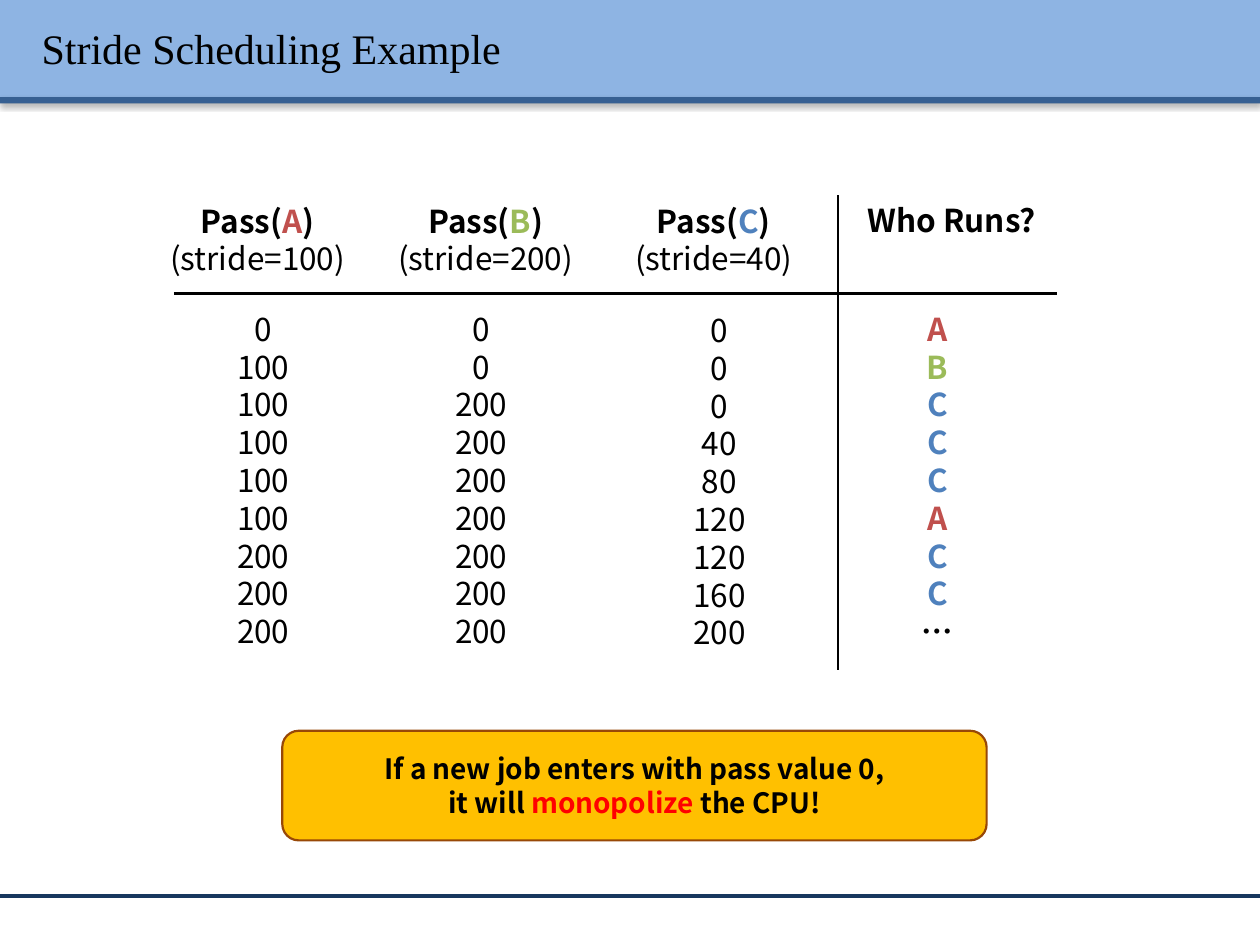
from lxml import etree
from pptx import Presentation
from pptx.dml.color import RGBColor
from pptx.enum.shapes import MSO_CONNECTOR, MSO_SHAPE
from pptx.enum.text import MSO_ANCHOR, PP_ALIGN
from pptx.oxml import parse_xml
from pptx.oxml.ns import nsdecls, qn
from pptx.util import Inches, Pt

BLACK = RGBColor(0x00, 0x00, 0x00)
BAR_BLUE = RGBColor(0x8E, 0xB4, 0xE3)
STRIPE_BLUE = RGBColor(0x37, 0x60, 0x92)
FOOTER_BLUE = RGBColor(0x17, 0x37, 0x5E)
AMBER = RGBColor(0xFF, 0xC0, 0x00)
BROWN = RGBColor(0x98, 0x48, 0x07)
RED = RGBColor(0xFF, 0x00, 0x00)
JOB_COLORS = {
    "A": RGBColor(0xC0, 0x50, 0x4D),
    "B": RGBColor(0x9B, 0xBB, 0x59),
    "C": RGBColor(0x4F, 0x81, 0xBD),
}
BODY_FONT = "Noto Sans CJK KR"
TITLE_FONT = "Times New Roman"


def shadow_effect(blur, distance, angle, alpha):
    """Return an effect list with one black outer shadow (points, degrees, percent)."""
    return parse_xml(
        f'<a:effectLst {nsdecls("a")}><a:outerShdw blurRad="{Pt(blur)}" dist="{Pt(distance)}" '
        f'dir="{angle * 60000}" algn="t" rotWithShape="0"><a:srgbClr val="000000">'
        f'<a:alpha val="{alpha * 1000}"/></a:srgbClr></a:outerShdw></a:effectLst>'
    )


class SlideBuilder:
    def __init__(self, slide):
        self.slide = slide
        self.shapes = slide.shapes

    def title(self, text, left, top, width, height):
        title = self.shapes.title
        self.place(title, left, top, width, height)
        title.text_frame.vertical_anchor = MSO_ANCHOR.MIDDLE
        paragraph = title.text_frame.paragraphs[0]
        paragraph.alignment = PP_ALIGN.LEFT
        run = self.run(paragraph, text, size=Pt(24), name=TITLE_FONT)
        fill = run.font._element.find(qn("a:solidFill"))
        fill.addnext(shadow_effect(3, 3, 45, 43))
        self.shapes._spTree.append(title._element)  # in front of the bars

    def place(self, shape, left, top, width, height):
        position = {"left": left, "top": top, "width": width, "height": height}
        for side, value in position.items():
            setattr(shape, side, Inches(value))

    def bar(self, top, height, color):
        bar = self.shapes.add_shape(
            MSO_SHAPE.RECTANGLE, 0, Inches(top), Inches(10), Inches(height))
        bar.fill.solid()
        bar.fill.fore_color.rgb = color
        bar.line.fill.background()
        bar._element.spPr.append(shadow_effect(3.1, 1.6, 90, 38))

    def line(self, x1, y1, x2, y2, color=BLACK, width=1.5):
        line = self.shapes.add_connector(
            MSO_CONNECTOR.STRAIGHT, *map(Inches, (x1, y1, x2, y2)))
        line.line.color.rgb = color
        line.line.width = Pt(width)
        etree.SubElement(line._element.spPr, qn("a:effectLst"))

    def run(self, paragraph, text, color=BLACK, **style):
        run = paragraph.add_run()
        run.text = text
        for attribute, value in style.items():
            setattr(run.font, attribute, value)
        run.font.color.rgb = color
        return run

    def paragraphs(self, frame, lines, size=18):
        """Fill a frame with centred lines, each a list of (text, color, bold)."""
        for number, pieces in enumerate(lines):
            paragraph = frame.paragraphs[0] if number == 0 else frame.add_paragraph()
            paragraph.alignment = PP_ALIGN.CENTER
            for text, color, bold in pieces:
                self.run(paragraph, text, color, size=Pt(size), name=BODY_FONT, bold=bold)

    def text(self, lines, left, top, width, height):
        box = self.shapes.add_textbox(*map(Inches, (left, top, width, height)))
        box.text_frame.word_wrap = True
        self.paragraphs(box.text_frame, lines)

    def callout(self, lines, left, top, width, height):
        callout = self.shapes.add_shape(
            MSO_SHAPE.ROUNDED_RECTANGLE, *map(Inches, (left, top, width, height)))
        callout.adjustments[0] = 0.15
        callout.shadow.inherit = False
        callout.fill.solid()
        callout.fill.fore_color.rgb = AMBER
        callout.line.color.rgb = BROWN
        callout.line.width = Pt(1.25)
        frame = callout.text_frame
        frame.word_wrap = True
        frame.vertical_anchor = MSO_ANCHOR.MIDDLE
        frame.margin_left = frame.margin_right = Inches(0.12)
        self.paragraphs(frame, lines, size=16)


def main():
    prs = Presentation()
    prs.slide_width, prs.slide_height = Inches(10), Inches(7.5)
    builder = SlideBuilder(prs.slides.add_slide(prs.slide_layouts[5]))

    builder.bar(0, 0.77, BAR_BLUE)
    builder.bar(0.77, 0.05, STRIPE_BLUE)
    builder.line(0, 7.11, 10, 7.11, FOOTER_BLUE, 2)
    builder.title("Stride Scheduling Example", 0.23, 0.06, 9.61, 0.64)

    builder.line(1.38, 2.33, 8.39, 2.33)
    builder.line(6.65, 1.55, 6.65, 5.32)

    strides = {"A": 100, "B": 200, "C": 40}
    value_boxes = {"A": (1.46, 2.41), "B": (3.19, 2.41), "C": (5.08, 2.42)}
    schedule = "ABCCCACC"
    for column, (job, stride) in enumerate(strides.items()):
        heading = [
            [("Pass(", BLACK, True), (job, JOB_COLORS[job], True), (")", BLACK, True)],
            [(f"(stride={stride})", BLACK, False)],
        ]
        builder.text(heading, 1.22 + 1.81 * column, 1.55, 1.65, 0.71)
        passes = [stride * schedule[:step].count(job) for step in range(len(schedule) + 1)]
        values = [[(str(value), BLACK, False)] for value in passes]
        builder.text(values, *value_boxes[job], 1.26, 2.83)

    builder.text([[("Who Runs?", BLACK, True)]], 6.73, 1.55, 1.65, 0.4)
    runners = [[(job, JOB_COLORS.get(job, BLACK), True)] for job in schedule + "…"]
    builder.text(runners, 6.81, 2.41, 1.26, 2.83)

    builder.callout([
        [("If a new job enters with pass value 0,", BLACK, True)],
        [("it will ", BLACK, True), ("monopolize", RED, True), (" the CPU!", BLACK, True)],
    ], 2.24, 5.8, 5.59, 0.87)

    prs.save("out.pptx")


if __name__ == "__main__":
    main()
